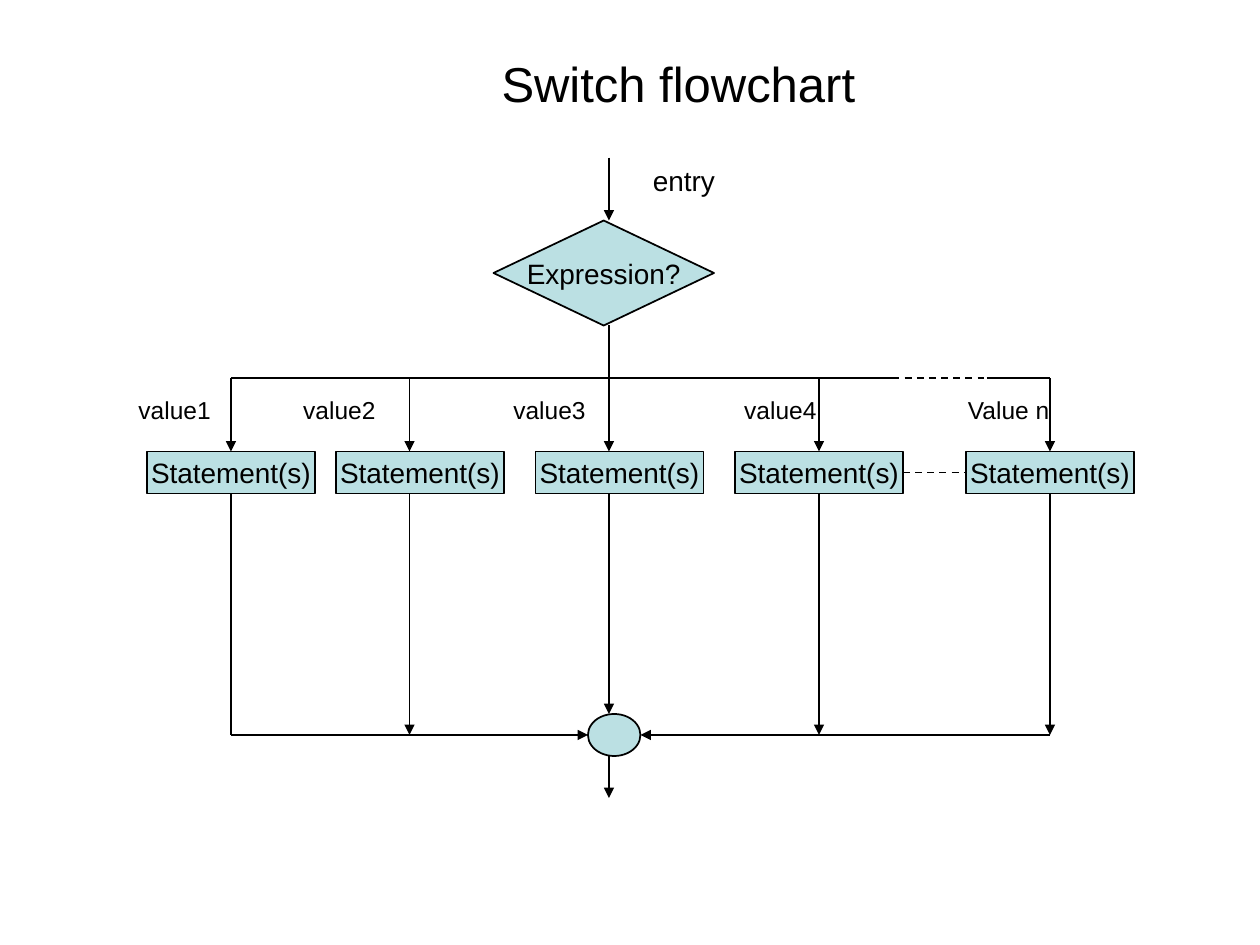
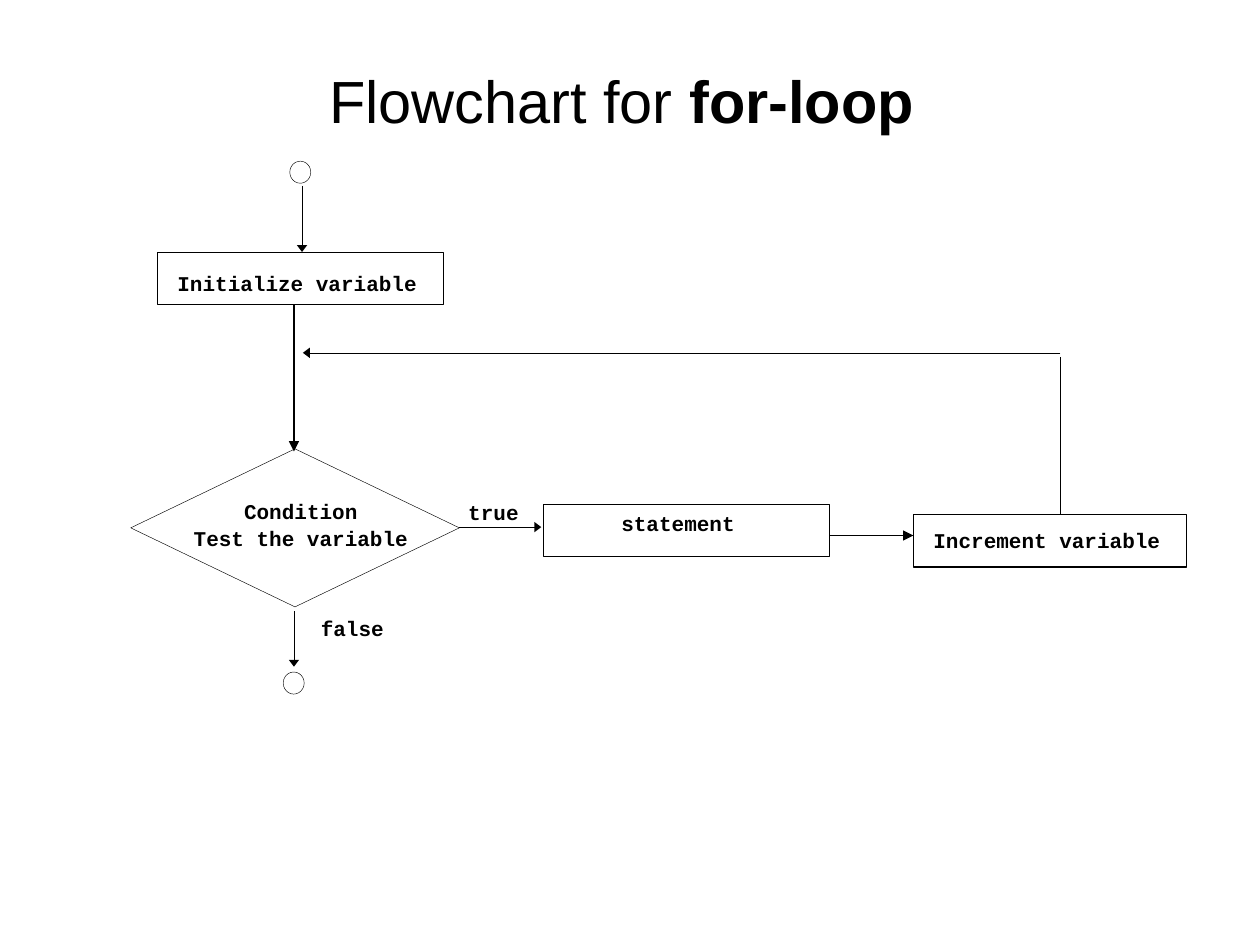
import pptx
import pptx.util
import pptx.dml.color
import pptx.enum.dml
import pptx.enum.shapes
import pptx.enum.text
import pptx.oxml

Pt, Inches = pptx.util.Pt, pptx.util.Inches
RGB = pptx.dml.color.RGBColor.from_string
KIND = pptx.enum.shapes.MSO_SHAPE
ALIGN = pptx.enum.text.PP_ALIGN
ANCHOR = pptx.enum.text.MSO_ANCHOR
GROW = pptx.enum.text.MSO_AUTO_SIZE.SHAPE_TO_FIT_TEXT
NS = 'xmlns:a="http://schemas.openxmlformats.org/drawingml/2006/main"'
COLORS = {"ink": "000000", "step": "BBE0E3", "paper": "FFFFFF"}
THIN, MEDIUM, THICK = 0.26, 0.74, 1  # line weights in points

prs = pptx.Presentation()
prs.slide_width, prs.slide_height = Inches(10), Inches(7.5)
CELL = prs.slide_width / 120  # grid of 120 columns by 90 rows

# Shared formats
TITLE = {"frame": {"word_wrap": True, "vertical_anchor": ANCHOR.BOTTOM},
         "para": {"alignment": ALIGN.CENTER},
         "font": {"name": "Arial", "size": Pt(28)}}
STEP = {"frame": {"word_wrap": False, "vertical_anchor": ANCHOR.MIDDLE},
        "para": {"alignment": ALIGN.CENTER},
        "font": {"name": "Arial", "size": Pt(16)}}
LABEL = {"frame": {"word_wrap": False, "auto_size": GROW},
         "para": {"alignment": ALIGN.LEFT},
         "font": {"name": "Arial", "size": Pt(14)}}
CODE = {"frame": {"word_wrap": True, "margin_left": 0, "margin_right": 0,
                  "margin_top": 0, "margin_bottom": 0},
        "para": {"alignment": ALIGN.CENTER, "line_spacing": 0.9, "space_before": Pt(3)},
        "font": {"name": "Courier New", "size": Pt(12), "bold": True}}
CODE_LEFT = {**CODE, "para": {**CODE["para"], "alignment": ALIGN.LEFT}}


def add_block(s, box, text="", style=STEP, kind=None, fill=None, weight=THICK):
    """Add a shape, or a text box when no kind is given; box is in grid cells."""
    place = [round(v * CELL) for v in box]
    if kind is None:
        sp = s.shapes.add_textbox(*place)
    else:
        sp = s.shapes.add_shape(kind, *place)
        sp.shadow.inherit = False
        sp.line.color.rgb = RGB(COLORS["ink"])
        sp.line.width = Pt(weight)
        if fill:
            sp.fill.solid()
            sp.fill.fore_color.rgb = RGB(COLORS[fill])
        else:
            sp.fill.background()
    tf = sp.text_frame
    for name, value in style["frame"].items():
        setattr(tf, name, value)
    for i, line in enumerate(text.split("\n") if text else []):
        p = tf.paragraphs[0] if i == 0 else tf.add_paragraph()
        for name, value in style["para"].items():
            setattr(p, name, value)
        r = p.add_run()
        r.text = line
        for name, value in style["font"].items():
            setattr(r.font, name, value)
        r.font.color.rgb = RGB(COLORS["ink"])
    return sp


def add_line(s, x1, y1, x2, y2, arrow=True, dashed=False, weight=THICK):
    """Add a straight line between two grid points; thin lines get a short arrowhead."""
    cn = s.shapes.add_connector(pptx.enum.shapes.MSO_CONNECTOR.STRAIGHT,
                                *[round(v * CELL) for v in (x1, y1, x2, y2)])
    cn.line.color.rgb = RGB(COLORS["ink"])
    cn.line.width = Pt(weight)
    if dashed:
        cn.line.dash_style = pptx.enum.dml.MSO_LINE.DASH
    if arrow:
        length = "sm" if weight == THIN else "med"
        cn.line._get_or_add_ln().append(pptx.oxml.parse_xml(
            f'<a:tailEnd {NS} type="triangle" w="med" len="{length}"/>'))
    cn._element.spPr.append(pptx.oxml.parse_xml(f"<a:effectLst {NS}/>"))


# Slide 1: switch flowchart
s = prs.slides.add_slide(prs.slide_layouts[6])
add_block(s, (16, 0, 97.2, 11.3), "Switch flowchart", TITLE)

# Entry and decision
MIDDLE, BRANCH, STEPS, MERGE = 58, 36, 43, 70
add_line(s, MIDDLE, 15, MIDDLE, 21)
add_block(s, (61, 15, 8.4, 4.4), "entry", {**LABEL, "font": STEP["font"]})
add_block(s, (47, 21, 21, 10), "Expression?", kind=KIND.FLOWCHART_DECISION, fill="step")
add_line(s, MIDDLE, 31, MIDDLE, BRANCH, arrow=False)

# Branch bar, dashed where further cases are left out
for x1, x2, dashed in [(22, 85, False), (85, 94, True), (94, 100, False)]:
    add_line(s, x1, BRANCH, x2, BRANCH, arrow=False, dashed=dashed)

# Cases: label, label column and width, box column, stem column, stem's end row, arrow
cases = [("value1", 12, 9.5, 14, 22, MERGE, False),
         ("value2", 27.7, 9.5, 32, 39, MERGE, True),
         ("value3", 47.7, 9.5, 51, MIDDLE, 68, True),
         ("value4", 69.7, 9.5, 70, 78, MERGE, True),
         ("Value n", 91, 10.4, 92, 100, MERGE, True)]
for label, label_x, label_w, box_x, stem, end, arrow in cases:
    add_block(s, (box_x, STEPS, 16, 4), "Statement(s)", kind=KIND.FLOWCHART_PROCESS, fill="step")
    add_line(s, stem, BRANCH, stem, STEPS)
    add_line(s, stem, STEPS + 4, stem, end, arrow=arrow)
    add_block(s, (label_x, 37, label_w, 4.1), label, LABEL)
add_line(s, 86, 45, 92, 45, arrow=False, dashed=True)

# Merge and exit
add_block(s, (56, 68, 5, 4), kind=KIND.FLOWCHART_CONNECTOR, fill="step")
add_line(s, 22, MERGE, 56, MERGE)
add_line(s, 100, MERGE, 61, MERGE)
add_line(s, MIDDLE, 72, MIDDLE, 76)

# Slide 2: for-loop flowchart
s = prs.slides.add_slide(prs.slide_layouts[6])
title = {"frame": {**TITLE["frame"], "vertical_anchor": ANCHOR.MIDDLE},
         "para": TITLE["para"], "font": {"name": "Arial", "size": Pt(34)}}
sp = add_block(s, (9, 5, 102, 9), "Flowchart for ", title)
r = sp.text_frame.paragraphs[0].add_run()
r.text = "for-loop "
for name, value in {**title["font"], "bold": True}.items():
    setattr(r.font, name, value)
r.font.color.rgb = RGB(COLORS["ink"])

# Outlines: kind, box, fill, line weight
outlines = [(KIND.FLOWCHART_DECISION, (12.45, 42.75, 31.3, 15.05), "paper", THIN),
            (KIND.OVAL, (27.6, 15.35, 2, 2.1), None, THIN),
            (KIND.OVAL, (26.97, 64, 2, 2.1), None, THIN),
            (KIND.RECTANGLE, (15, 24, 27.25, 5), None, THIN),
            (KIND.RECTANGLE, (51.7, 48, 27.3, 5), None, THIN),
            (KIND.RECTANGLE, (87, 49, 26, 5), None, MEDIUM)]
for kind, box, fill, weight in outlines:
    add_block(s, box, kind=kind, fill=fill, weight=weight)

# Flow lines: ends, arrow, line weight
flows = [((28.77, 17.7, 28.77, 24), True, THIN),
         ((28, 29, 28, 43), True, MEDIUM),
         ((43.75, 50.2, 51.55, 50.2), True, THIN),
         ((79, 51, 87, 51), True, MEDIUM),
         ((101, 49, 101, 34), False, THIN),
         ((101, 33.6, 28.85, 33.6), True, THIN),
         ((28, 58.2, 28, 63.5), True, THIN)]
for ends, arrow, weight in flows:
    add_line(s, *ends, arrow=arrow, weight=weight)

# Wording
for text, box, style in [("Initialize variable", (12, 26, 32.6, 3.5), CODE),
                         ("Condition\nTest the variable", (16.75, 47.7, 23.8, 3.2), CODE),
                         ("statement", (48.28, 48.87, 32.6, 3.5), CODE),
                         ("Increment variable", (83.4, 50.5, 32.6, 3.5), CODE),
                         ("true", (44.6, 47.82, 7, 1.2), CODE_LEFT),
                         ("false", (30.55, 58.87, 8.5, 4.2), CODE_LEFT)]:
    add_block(s, box, text, style)

prs.save("out.pptx")
